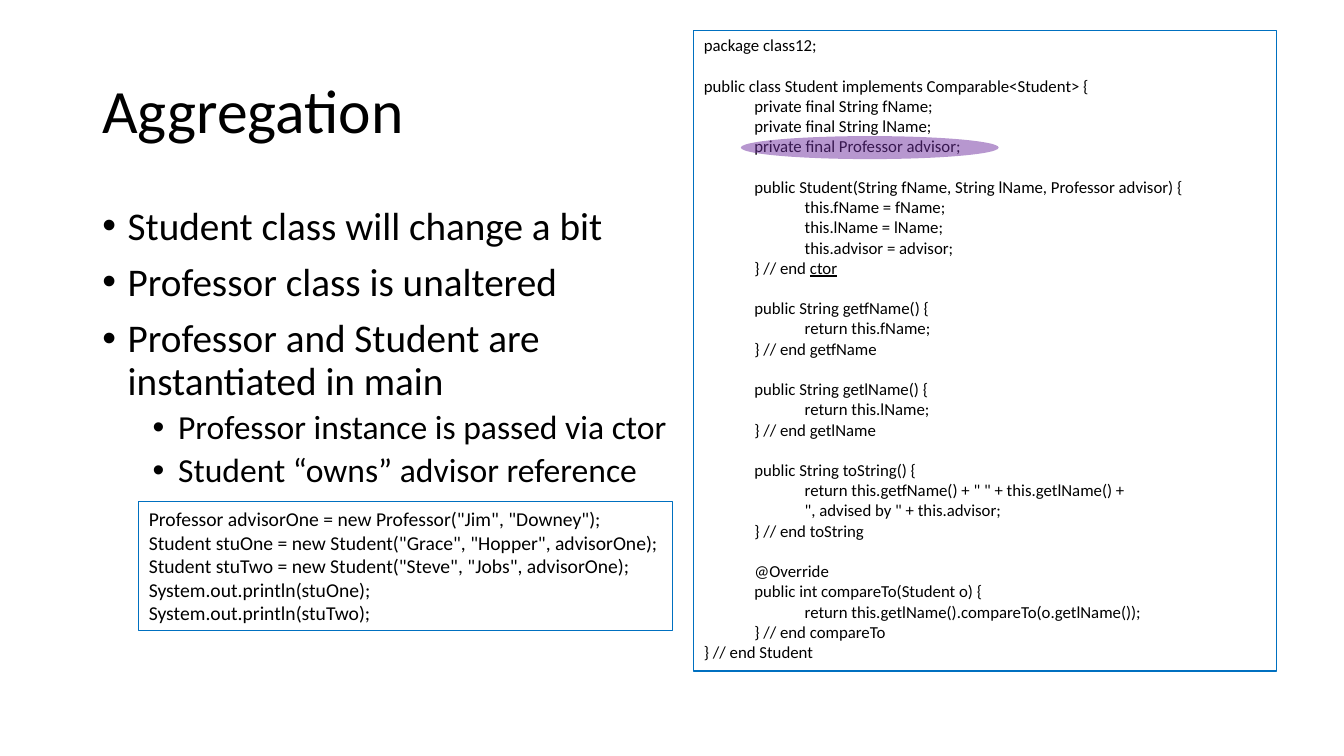
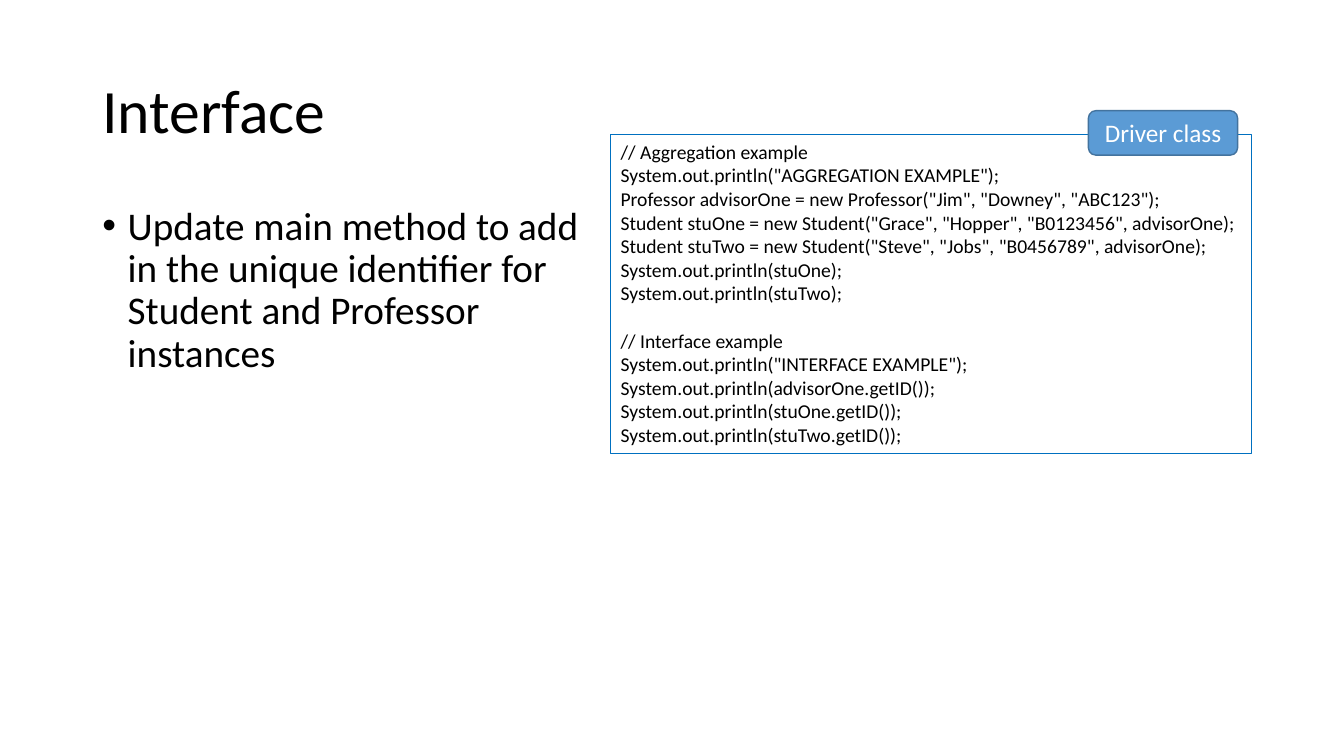
"""Build two slides on aggregation and interfaces in Java."""
from dataclasses import dataclass

from lxml import etree
from pptx import Presentation
from pptx import util as u
from pptx.dml import color as co
from pptx.enum import shapes as sh, text as tx
from pptx.oxml import ns


@dataclass(frozen=True)
class Theme:
    font: str = "Calibri"
    ink: str = "000000"
    white: str = "FFFFFF"
    frame: str = "0070C0"
    mark: str = "7030A0"
    tag: str = "5B9BD5"
    edge: str = "43739E"
    title: int = 44
    body: tuple = (28, 24)
    gap: tuple = (10, 5)
    label: int = 18
    code: int = 14
    small: int = 12
    tight: float = 0.9
    line: float = 1.22


@dataclass(frozen=True)
class Box:
    x: float
    y: float
    w: float
    h: float

    def rect(self) -> tuple:
        return tuple(u.Cm(v) for v in (self.x, self.y, self.w, self.h))


@dataclass(frozen=True)
class Item:
    text: str
    level: int = 0


@dataclass(frozen=True)
class Code:
    box: Box
    text: str
    size: int
    wrap: bool = False
    under: str = ""


LOOK = Theme()
HEAD = Box(2.33, 1.01, 29.21, 3.68)
STEP = 1.27
HANG = 0.64

STUDENT = """package class12;

public class Student implements Comparable<Student> {
\tprivate final String fName;
\tprivate final String lName;
\tprivate final Professor advisor;

\tpublic Student(String fName, String lName, Professor advisor) {
\t\tthis.fName = fName;
\t\tthis.lName = lName;
\t\tthis.advisor = advisor;
\t} // end ctor

\tpublic String getfName() {
\t\treturn this.fName;
\t} // end getfName

\tpublic String getlName() {
\t\treturn this.lName;
\t} // end getlName

\tpublic String toString() {
\t\treturn this.getfName() + " " + this.getlName() +
\t\t", advised by " + this.advisor;
\t} // end toString

\t@Override
\tpublic int compareTo(Student o) {
\t\treturn this.getlName().compareTo(o.getlName());
\t} // end compareTo
} // end Student"""

MAIN = """Professor advisorOne = new Professor("Jim", "Downey");
Student stuOne = new Student("Grace", "Hopper", advisorOne);
Student stuTwo = new Student("Steve", "Jobs", advisorOne);
System.out.println(stuOne);
System.out.println(stuTwo);"""

DRIVER = """// Aggregation example
System.out.println("AGGREGATION EXAMPLE");
Professor advisorOne = new Professor("Jim", "Downey", "ABC123");
Student stuOne = new Student("Grace", "Hopper", "B0123456", advisorOne);
Student stuTwo = new Student("Steve", "Jobs", "B0456789", advisorOne);
System.out.println(stuOne);
System.out.println(stuTwo);

// Interface example
System.out.println("INTERFACE EXAMPLE");
System.out.println(advisorOne.getID());
System.out.println(stuOne.getID());
System.out.println(stuTwo.getID());"""


def rgb(code: str) -> co.RGBColor:
    return co.RGBColor.from_string(code)


def add_run(para, text: str, size: int, ink: str = LOOK.ink, under: bool = False) -> None:
    run = para.add_run()
    run.text = text
    font = run.font
    font.name, font.size = LOOK.font, u.Pt(size)
    font.color.rgb = rgb(ink)
    if under:
        font.underline = True


def next_para(frame, first: bool):
    return frame.paragraphs[0] if first else frame.add_paragraph()


def indent(para, left: float, hang: float = 0):
    props = para._p.get_or_add_pPr()
    props.set("marL", str(u.Cm(left)))
    props.set("indent", str(u.Cm(-hang)))
    return props


def add_shape(slide, kind, box: Box, fill: str = "", line: str = "", width: float = 0.75):
    shape = slide.shapes.add_shape(kind, *box.rect())
    shape.shadow.inherit = False
    if fill:
        shape.fill.solid()
        shape.fill.fore_color.rgb = rgb(fill)
    else:
        shape.fill.background()
    if line:
        shape.line.color.rgb = rgb(line)
        shape.line.width = u.Pt(width)
    else:
        shape.line.fill.background()
    return shape


def add_text(slide, box: Box):
    frame = slide.shapes.add_textbox(*box.rect()).text_frame
    frame.word_wrap = True
    return frame


def add_title(slide, text: str) -> None:
    frame = add_text(slide, HEAD)
    frame.vertical_anchor = tx.MSO_ANCHOR.MIDDLE
    para = frame.paragraphs[0]
    para.line_spacing = LOOK.tight
    add_run(para, text, LOOK.title)


def add_body(slide, box: Box, items: list[Item]) -> None:
    frame = add_text(slide, box)
    for pos, item in enumerate(items):
        para = next_para(frame, pos == 0)
        para.level = item.level
        para.line_spacing = LOOK.tight
        para.space_before = u.Pt(LOOK.gap[item.level])
        props = indent(para, HANG + STEP * item.level, HANG)
        etree.SubElement(props, ns.qn("a:buFont")).set("typeface", "Arial")
        etree.SubElement(props, ns.qn("a:buChar")).set("char", "•")
        add_run(para, item.text, LOOK.body[item.level])


def add_code(slide, code: Code) -> None:
    shape = add_shape(slide, sh.MSO_SHAPE.RECTANGLE, code.box, line=LOOK.frame)
    frame = shape.text_frame
    frame.word_wrap = code.wrap
    frame.auto_size = tx.MSO_AUTO_SIZE.SHAPE_TO_FIT_TEXT
    frame.vertical_anchor = tx.MSO_ANCHOR.TOP
    first = True
    for block in code.text.split("\n\n"):
        for row, line in enumerate(block.split("\n")):
            para = next_para(frame, first)
            para.alignment = tx.PP_ALIGN.LEFT
            para.level = line.count("\t")
            indent(para, STEP * para.level)
            if row == 0 and not first:
                para.space_before = u.Pt(round(code.size * LOOK.line, 1))
            first = False
            text = line.strip()
            if code.under and text.endswith(code.under):
                add_run(para, text.removesuffix(code.under), code.size)
                add_run(para, code.under, code.size, under=True)
            else:
                add_run(para, text, code.size)


def add_mark(slide, box: Box) -> None:
    shape = add_shape(slide, sh.MSO_SHAPE.OVAL, box, LOOK.mark)
    tint = shape.element.spPr.find(".//" + ns.qn("a:srgbClr"))
    etree.SubElement(tint, ns.qn("a:alpha")).set("val", "50000")


def add_tag(slide, box: Box, text: str) -> None:
    kind = sh.MSO_SHAPE.ROUNDED_RECTANGLE
    frame = add_shape(slide, kind, box, LOOK.tag, LOOK.edge, 1).text_frame
    frame.word_wrap = True
    frame.vertical_anchor = tx.MSO_ANCHOR.MIDDLE
    frame.paragraphs[0].alignment = tx.PP_ALIGN.CENTER
    add_run(frame.paragraphs[0], text, LOOK.label, LOOK.white)


def new_slide(deck, title: str):
    slide = deck.slides.add_slide(deck.slide_layouts[6])
    add_title(slide, title)
    return slide


def main() -> None:
    deck = Presentation()
    deck.slide_width, deck.slide_height = u.Cm(33.87), u.Cm(19.05)

    slide = new_slide(deck, "Aggregation")
    add_body(slide, Box(2.33, 5.07, 15.16, 7.59), [
        Item("Student class will change a bit"),
        Item("Professor class is unaltered"),
        Item("Professor and Student are instantiated in main"),
        Item("Professor instance is passed via ctor", 1),
        Item("Student “owns” advisor reference", 1),
    ])
    add_code(slide, Code(Box(17.49, 0.76, 14.68, 16.15), STUDENT, LOOK.small, True, "ctor"))
    add_mark(slide, Box(18.67, 3.43, 6.5, 0.58))
    add_code(slide, Code(Box(3.5, 12.65, 13.46, 3.25), MAIN, LOOK.code))

    slide = new_slide(deck, "Interface")
    add_body(slide, Box(2.33, 5.07, 13.06, 12.09), [
        Item("Update main method to add in the unique identifier for "
             "Student and Professor instances"),
    ])
    add_code(slide, Code(Box(15.39, 3.4, 16.15, 8.03), DRIVER, LOOK.code))
    add_tag(slide, Box(27.43, 2.79, 3.76, 1.12), "Driver class")

    deck.save("out.pptx")


if __name__ == "__main__":
    main()
